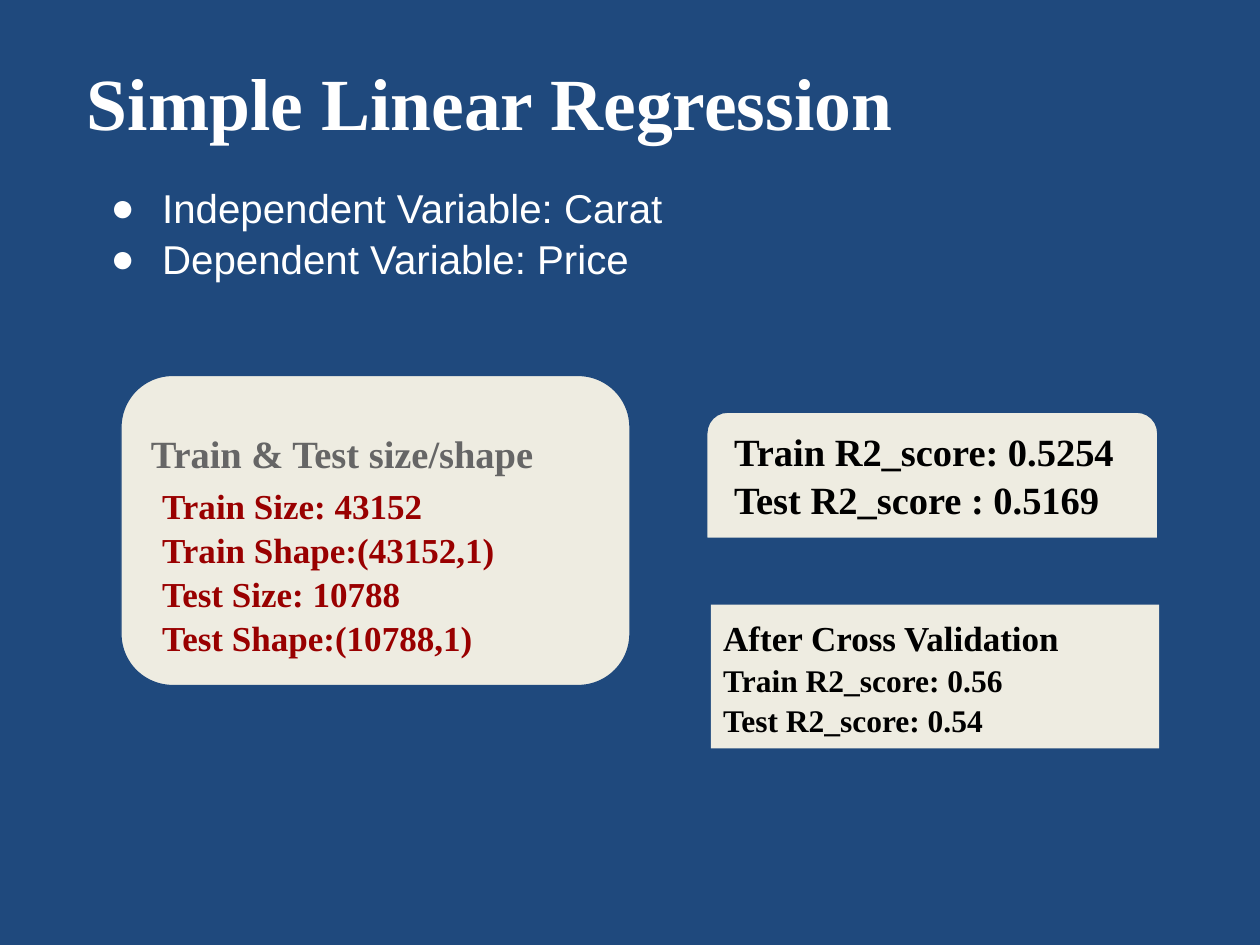
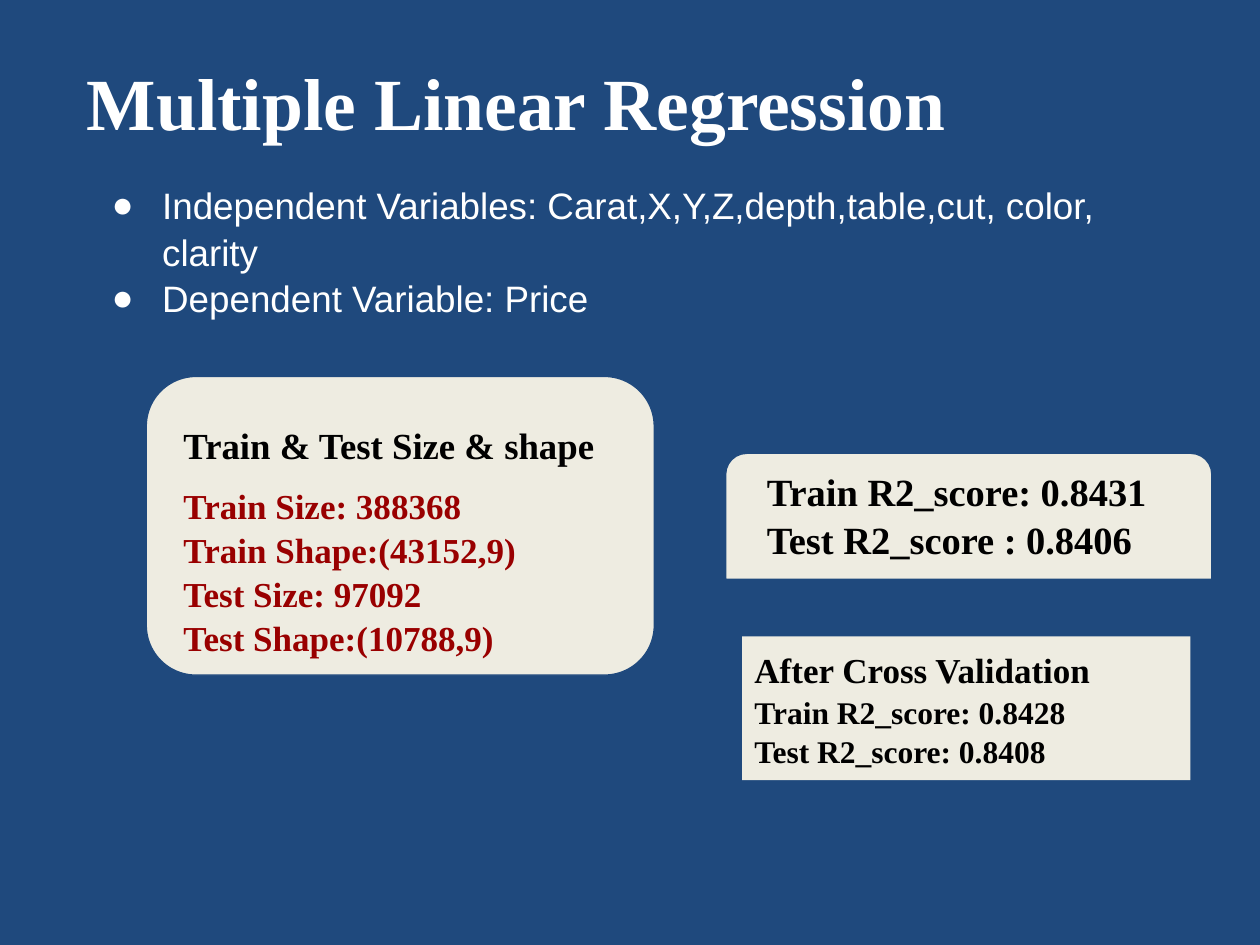
from dataclasses import dataclass
from typing import Any, NamedTuple

import lxml.etree
import pptx
import pptx.dml.color
import pptx.enum.shapes
import pptx.enum.text
import pptx.oxml.ns
import pptx.util

Cm = pptx.util.Cm
Shape = pptx.enum.shapes.MSO_SHAPE
Anchor = pptx.enum.text.MSO_ANCHOR


@dataclass(frozen=True)
class Theme:
    # Colours
    navy: str = "1F497D"
    cream: str = "EEECE1"
    white: str = "FFFFFF"
    black: str = "000000"
    grey: str = "666666"
    red: str = "990000"
    # Fonts and type sizes
    serif: str = "Times New Roman"
    sans: str = "Arial"
    title_size: int = 42
    score_size: int = 22
    text_size: int = 20
    small_size: int = 18
    # Spacing
    line_spacing: float = 1.05
    inset: float = 0.25


class Box(NamedTuple):
    """Left, top, width and height in centimetres."""
    left: float
    top: float
    width: float
    height: float

    def lengths(self) -> list[int]:
        return [Cm(value) for value in self]


class Style(NamedTuple):
    size: int
    color: str
    font: str
    bold: bool = True


@dataclass(frozen=True)
class ModelPage:
    """Results of one regression model and where they stand."""
    title: str
    title_width: float
    variables: list[str]
    variable_size: int
    hanging: float
    panel: Box
    heading: str
    heading_box: Box
    heading_style: Style
    sizes: list[str]
    sizes_left: float
    score_tab: Box
    scores: list[str]
    score_box: Box
    validation: list[str]
    validation_left: float
    validation_top: float


THEME = Theme()
TITLE_STYLE = Style(THEME.title_size, THEME.white, THEME.serif)
SIZES_STYLE = Style(THEME.text_size, THEME.red, THEME.serif)
SCORE_STYLE = Style(THEME.score_size, THEME.black, THEME.serif)
VALIDATION_HEAD = Style(THEME.text_size, THEME.black, THEME.serif)
VALIDATION_STYLE = Style(THEME.small_size, THEME.black, THEME.serif)

PAGES = [
    ModelPage(
        title="Simple Linear Regression",
        title_width=17.02,
        variables=["Independent Variable: Carat", "Dependent Variable: Price"],
        variable_size=23,
        hanging=1.04,
        panel=Box(2.44, 7.57, 10.26, 6.25),
        heading="Train & Test size/shape",
        heading_box=Box(2.79, 8.38, 9.53, 1.45),
        heading_style=Style(22, THEME.grey, THEME.serif),
        sizes=["Train Size: 43152", "Train Shape:(43152,1)",
               "Test Size: 10788", "Test Shape:(10788,1)"],
        sizes_left=3.02,
        score_tab=Box(14.25, 8.31, 9.09, 2.54),
        scores=["Train R2_score: 0.5254", "Test R2_score : 0.5169"],
        score_box=Box(14.55, 8.33, 9.09, 2.39),
        validation=["Train R2_score: 0.56", "Test R2_score: 0.54"],
        validation_left=14.33,
        validation_top=12.19,
    ),
    ModelPage(
        title="Multiple Linear Regression",
        title_width=20.24,
        variables=["Independent Variables: Carat,X,Y,Z,depth,table,cut, color, clarity",
                   "Dependent Variable: Price"],
        variable_size=21,
        hanging=1.02,
        panel=Box(2.95, 7.59, 10.24, 6.02),
        heading="Train & Test Size & shape",
        heading_box=Box(3.45, 8.23, 9.09, 1.42),
        heading_style=Style(21, THEME.black, THEME.serif),
        sizes=["Train Size: 388368", "Train Shape:(43152,9)",
               "Test Size: 97092", "Test Shape:(10788,9)"],
        sizes_left=3.45,
        score_tab=Box(14.63, 9.14, 9.8, 2.54),
        scores=["Train R2_score: 0.8431", "Test R2_score : 0.8406"],
        score_box=Box(15.21, 9.14, 8.61, 2.39),
        validation=["Train R2_score: 0.8428", "Test R2_score: 0.8408"],
        validation_left=14.96,
        validation_top=12.83,
    ),
]


def rgb(color: str) -> pptx.dml.color.RGBColor:
    return pptx.dml.color.RGBColor.from_string(color)


def write(shape: Any, lines: list[str], styles: list[Style],
          inset: float = THEME.inset, anchor: Any = Anchor.TOP) -> None:
    """Fill a shape with one styled paragraph per line."""
    frame = shape.text_frame
    frame.text = "\n".join(lines)
    frame.word_wrap = True
    frame.auto_size = pptx.enum.text.MSO_AUTO_SIZE.NONE
    frame.vertical_anchor = anchor
    frame.margin_left = frame.margin_right = Cm(inset)
    frame.margin_top = frame.margin_bottom = Cm(inset)
    for para, style in zip(frame.paragraphs, styles):
        para.alignment = pptx.enum.text.PP_ALIGN.LEFT
        para.line_spacing = THEME.line_spacing
        for span in para.runs:
            span.font.size = pptx.util.Pt(style.size)
            span.font.name = style.font
            span.font.bold = style.bold
            span.font.color.rgb = rgb(style.color)


def add_text(page: Any, box: Box, lines: list[str], style: Style) -> Any:
    shape = page.shapes.add_textbox(*box.lengths())
    write(shape, lines, [style] * len(lines))
    return shape


def add_card(page: Any, kind: Any, box: Box, outlined: bool = True) -> Any:
    card = page.shapes.add_shape(kind, *box.lengths())
    card.shadow.inherit = False
    card.fill.solid()
    card.fill.fore_color.rgb = rgb(THEME.cream)
    if outlined:
        card.line.color.rgb = rgb(THEME.navy)
        card.line.width = pptx.util.Pt(0.75)
    else:
        card.line.fill.background()
    return card


def add_bullets(shape: Any, hanging: float) -> None:
    """Give every paragraph a round white bullet and a hanging indent."""
    qn = pptx.oxml.ns.qn
    for para in shape.text_frame.paragraphs:
        properties = para._p.get_or_add_pPr()
        properties.set("marL", str(Cm(1.27)))
        properties.set("indent", str(-Cm(hanging)))
        color = lxml.etree.SubElement(properties, qn("a:buClr"))
        lxml.etree.SubElement(color, qn("a:srgbClr"), val=THEME.white)
        lxml.etree.SubElement(properties, qn("a:buFont"), typeface=THEME.sans)
        lxml.etree.SubElement(properties, qn("a:buChar"), char="●")


def add_page(deck: Any, model: ModelPage) -> None:
    page = deck.slides.add_slide(deck.slide_layouts.get_by_name("Title Only"))
    page.background.fill.solid()
    page.background.fill.fore_color.rgb = rgb(THEME.navy)

    # Title
    title = page.shapes.title
    title.left, title.top, title.width, title.height = Box(
        1.75, 1.02, model.title_width, 1.8).lengths()
    write(title, [model.title], [TITLE_STYLE], inset=0)
    title.text_frame.margin_top = Cm(0.05)

    # Variables of the model
    variable_style = Style(model.variable_size, THEME.white, THEME.sans, bold=False)
    variables = add_text(page, Box(1.75, 3.4, 21.92, 3.2), model.variables, variable_style)
    add_bullets(variables, model.hanging)

    # Train and test sizes
    add_card(page, Shape.ROUNDED_RECTANGLE, model.panel)
    add_text(page, model.heading_box, [model.heading], model.heading_style)
    add_text(page, Box(model.sizes_left, 9.47, 7.26, 3.94), model.sizes, SIZES_STYLE)

    # Scores
    add_card(page, Shape.ROUND_2_SAME_RECTANGLE, model.score_tab)
    add_text(page, model.score_box, model.scores, SCORE_STYLE)

    # Scores after cross validation
    validation_box = Box(model.validation_left, model.validation_top, 9.04, 2.9)
    validation = add_card(page, Shape.RECTANGLE, validation_box, outlined=False)
    write(validation, ["After Cross Validation", *model.validation],
          [VALIDATION_HEAD, VALIDATION_STYLE, VALIDATION_STYLE], anchor=Anchor.MIDDLE)


def main() -> None:
    deck = pptx.Presentation()
    deck.slide_width, deck.slide_height = Cm(25.4), Cm(19.05)
    for model in PAGES:
        add_page(deck, model)
    deck.save("out.pptx")


main()
